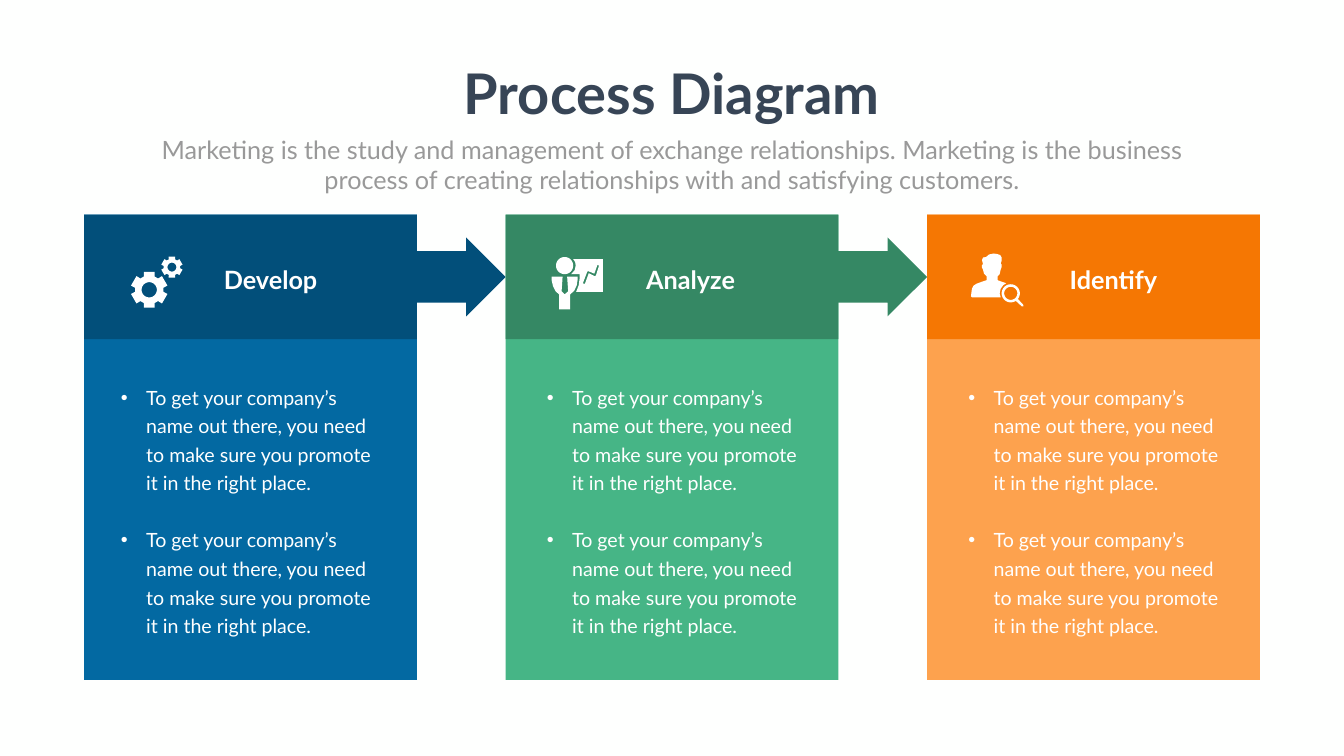
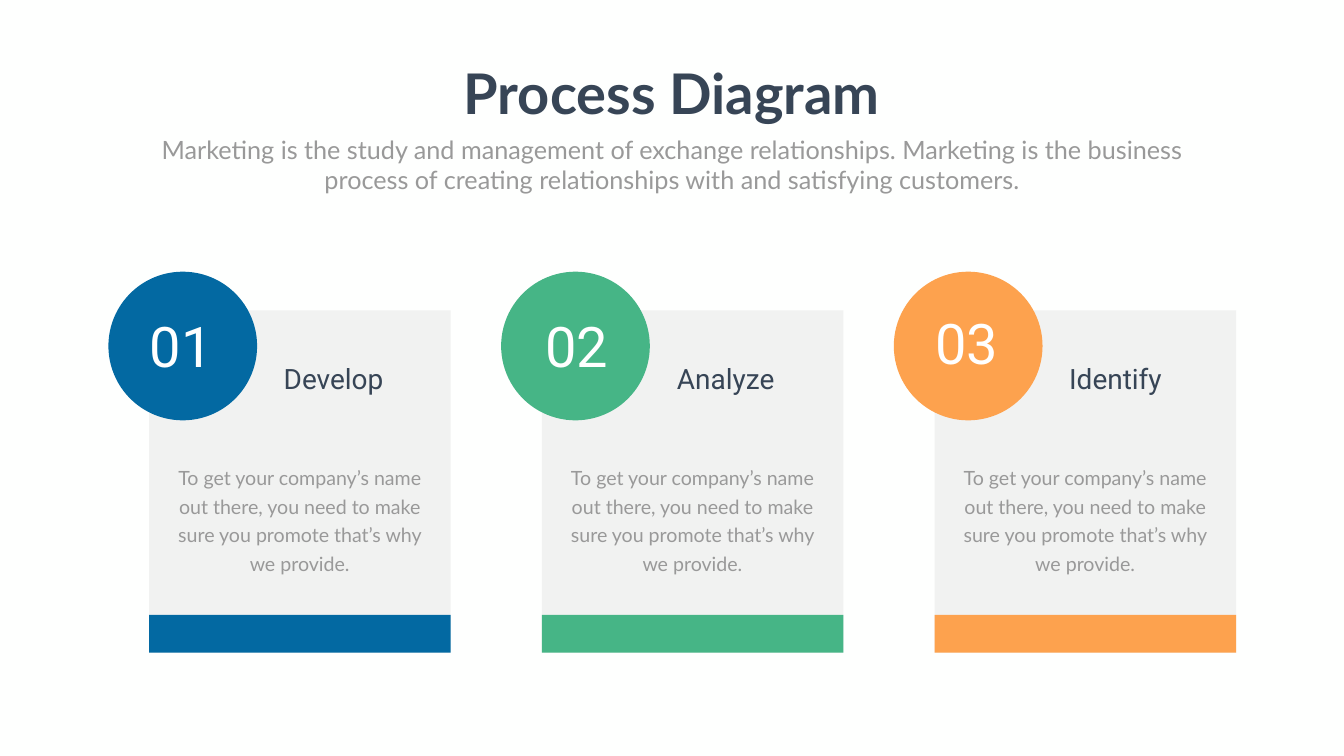
import math

import pptx
import pptx.dml.color
import pptx.enum.shapes
import pptx.enum.text
import pptx.oxml.ns
import pptx.util
from lxml import etree

RGBColor = pptx.dml.color.RGBColor
MSO_SHAPE = pptx.enum.shapes.MSO_SHAPE
PP_ALIGN = pptx.enum.text.PP_ALIGN
MSO_ANCHOR = pptx.enum.text.MSO_ANCHOR
qn = pptx.oxml.ns.qn

PX = 9144
SLIDE_SIZE = (2666, 1500)

PAPER = RGBColor(0xFE, 0xFF, 0xFE)
WHITE = RGBColor(0xFF, 0xFF, 0xFF)
SLATE = RGBColor(0x37, 0x45, 0x56)
GRAY = RGBColor(0x99, 0x99, 0x99)
CARD_GRAY = RGBColor(0x80, 0x80, 0x80)
BLUE = RGBColor(0x03, 0x69, 0xA2)
DARK_BLUE = RGBColor(0x02, 0x4F, 0x7A)
GREEN = RGBColor(0x46, 0xB5, 0x86)
DARK_GREEN = RGBColor(0x35, 0x88, 0x64)
ORANGE = RGBColor(0xFD, 0xA2, 0x4E)
DARK_ORANGE = RGBColor(0xF5, 0x77, 0x03)

TITLE = "Process Diagram"
SUBTITLE = (
    "Marketing is the study and management of exchange relationships. "
    "Marketing is the business process of creating relationships with "
    "and satisfying customers."
)
BULLETS = [
    "To get your company’s name out there, you need to make sure "
    "you promote it in the right place."
] * 2
DESCRIPTION = (
    "To get your company’s name out there, you need to make sure "
    "you promote that’s why we provide."
)
STEPS = [
    {"name": "Develop", "color": BLUE, "dark": DARK_BLUE,
     "name_left": 434, "list_left": 230,
     "number": "01", "number_box": (252, 613, 215, 145), "heading_left": 553},
    {"name": "Analyze", "color": GREEN, "dark": DARK_GREEN,
     "name_left": 1272, "list_left": 1075,
     "number": "02", "number_box": (1068, 613, 152, 145), "heading_left": 1333},
    {"name": "Identify", "color": ORANGE, "dark": DARK_ORANGE,
     "name_left": 2112, "list_left": 1911,
     "number": "03", "number_box": (1810, 607, 215, 145), "heading_left": 2111},
]

PANEL_LEFT, PANEL_PITCH = 167, 836
CARD_LEFT, CARD_PITCH = 296, 779
LINE_PITCH = 40.8


def ring_points(x, y, radius, count=48):
    return [
        (x + radius * math.cos(math.tau * i / count),
         y + radius * math.sin(math.tau * i / count))
        for i in range(count)
    ]


def gear(x, y, radius):
    profile = [(-22, 0.79), (-17, 1.03), (17, 1.03), (22, 0.79)]
    teeth = [
        (x + radius * reach * math.sin(math.radians(60 * tooth + turn)),
         y - radius * reach * math.cos(math.radians(60 * tooth + turn)))
        for tooth in range(6) for turn, reach in profile
    ]
    return [teeth, ring_points(x, y, radius * 0.42)]


PRESENTER = [(1125, 549), (1127, 578), (1120, 584), (1114, 578), (1116, 549),
             (1094, 549), (1094, 555), (1097, 568), (1102, 578), (1109, 584),
             (1109, 614), (1131, 614), (1131, 584), (1139, 577), (1144, 566),
             (1146, 553), (1146, 549)]
BOARD = [(1137, 514), (1141, 520), (1142, 527), (1140, 536), (1133, 544),
         (1150, 544), (1150, 551), (1148, 566), (1143, 579), (1196, 579),
         (1196, 514)]
TREND = [(1188, 528), (1182, 547), (1180, 548), (1168, 542), (1161, 561),
         (1159, 564), (1157, 562), (1157, 560), (1165, 539), (1167, 538),
         (1179, 543), (1185, 526), (1187, 525)]
BUST = [(1996, 562), (1987, 559), (1979, 556), (1979, 548), (1983, 544),
        (1985, 535), (1987, 530), (1987, 525), (1985, 523), (1987, 517),
        (1987, 511), (1984, 506), (1978, 504), (1971, 503), (1962, 505),
        (1956, 510), (1950, 511), (1948, 516), (1950, 524), (1948, 526),
        (1948, 531), (1950, 535), (1952, 543), (1957, 548), (1957, 556),
        (1948, 559), (1937, 563), (1931, 567), (1928, 573), (1926, 588),
        (1928, 590), (1985, 590), (1983, 582), (1985, 573), (1990, 566)]
LENS_HANDLE = [(2015, 597), (2019, 593), (2030, 605), (2030, 608), (2027, 608)]

ICONS = [
    [gear(296, 575, 36), gear(341, 530, 21)],
    [[ring_points(1120, 527, 17)], [PRESENTER], [BOARD, TREND]],
    [[BUST], [ring_points(2005, 582, 18), ring_points(2005, 582, 13), LENS_HANDLE]],
]


def place(part, box):
    part.left, part.top, part.width, part.height = [length * PX for length in box]


def paint(part, color, opacity=None):
    part.shadow.inherit = False
    part.line.fill.background()
    part.fill.solid()
    part.fill.fore_color.rgb = color
    if opacity is not None:
        rgb = part._element.spPr.find(".//" + qn("a:srgbClr"))
        etree.SubElement(rgb, qn("a:alpha"), val=str(opacity * 1000))


def add_block(slide, kind, box, color, opacity=None):
    block = slide.shapes.add_shape(kind, *[length * PX for length in box])
    paint(block, color, opacity)
    return block


def add_icon(slide, outlines):
    icon = slide.shapes.add_group_shape()
    for contours in outlines:
        builder = None
        for contour in contours:
            points = [(round(x * PX), round(y * PX)) for x, y in contour]
            if builder is None:
                builder = icon.shapes.build_freeform(*points[0], scale=1.0)
            else:
                builder.move_to(*points[0])
            builder.add_line_segments(points[1:], close=True)
        paint(builder.convert_to_shape(), WHITE)


def write(slide, text, box, holder=None, size=28, color=WHITE, font="Lato",
          bold=False, align=PP_ALIGN.LEFT, line=None, bullet=False, wrap=True):
    if holder is None:
        holder = slide.shapes.add_textbox(0, 0, 0, 0)
    else:
        slide.shapes._spTree.append(holder._element)
    place(holder, box)
    frame = holder.text_frame
    frame.word_wrap = wrap
    frame.auto_size = pptx.enum.text.MSO_AUTO_SIZE.NONE
    frame.vertical_anchor = MSO_ANCHOR.TOP
    entries = [text] if isinstance(text, str) else text
    for i, entry in enumerate(entries):
        paragraph = frame.paragraphs[0] if i == 0 else frame.add_paragraph()
        properties = paragraph._p.get_or_add_pPr()
        indent = 50 * PX if bullet else 0
        properties.set("marL", str(indent))
        properties.set("indent", str(-indent))
        if bullet:
            etree.SubElement(properties, qn("a:buFont"), typeface="Arial")
            etree.SubElement(properties, qn("a:buChar"), char="•")
        else:
            etree.SubElement(properties, qn("a:buNone"))
        paragraph.alignment = align
        paragraph.space_before = pptx.util.Pt(line if i and line else 0)
        paragraph.line_spacing = pptx.util.Pt(line) if line else 1.0
        run = paragraph.add_run()
        run.text = entry
        run.font.name = font
        run.font.size = pptx.util.Pt(size)
        run.font.bold = bold
        run.font.color.rgb = color


def start_slide(deck):
    slide = deck.slides.add_slide(deck.slide_layouts.get_by_name("Comparison"))
    title, subtitle, *details = list(slide.placeholders)
    write(slide, TITLE, (901, 112, 863, 145), title, size=80, color=SLATE,
          bold=True, align=PP_ALIGN.CENTER, wrap=False)
    write(slide, SUBTITLE, (292, 261, 2082, 131), subtitle, size=36, color=GRAY,
          align=PP_ALIGN.CENTER)
    return slide, details


def build_arrow_process(deck):
    slide, lists = start_slide(deck)
    for i, (step, holder, icon) in enumerate(zip(STEPS, lists, ICONS)):
        left = PANEL_LEFT + i * PANEL_PITCH
        add_block(slide, MSO_SHAPE.RECTANGLE, (left, 426, 660, 923), step["color"])
        add_block(slide, MSO_SHAPE.RECTANGLE, (left, 426, 660, 247), step["dark"])
        if i < len(STEPS) - 1:
            arrow = add_block(slide, MSO_SHAPE.RIGHT_ARROW,
                              (left + 566, 471, 270, 157), step["dark"])
            arrow.adjustments[0] = 0.65
            arrow.adjustments[1] = 0.5
        add_icon(slide, icon)
        write(slide, step["name"], (step["name_left"], 519, 261, 71),
              size=36, bold=True)
        write(slide, BULLETS, (step["list_left"], 750, 516, 522), holder,
              line=LINE_PITCH, bullet=True)


def build_numbered_cards(deck):
    slide, descriptions = start_slide(deck)
    for i, (step, holder) in enumerate(zip(STEPS, descriptions)):
        left = CARD_LEFT + i * CARD_PITCH
        add_block(slide, MSO_SHAPE.RECTANGLE, (left, 616, 598, 679), CARD_GRAY, 10)
        add_block(slide, MSO_SHAPE.RECTANGLE, (left, 1220, 598, 75), step["color"])
        add_block(slide, MSO_SHAPE.OVAL, (left - 81, 539, 295, 295), step["color"])
        write(slide, step["number"], step["number_box"], size=80, font="Roboto",
              align=PP_ALIGN.CENTER)
        write(slide, step["name"], (step["heading_left"], 713, 333, 77),
              size=40, font="Roboto", color=SLATE)
        write(slide, DESCRIPTION, (left + 47, 910, 503, 234), holder, color=GRAY,
              align=PP_ALIGN.CENTER, line=LINE_PITCH)


def main():
    deck = pptx.Presentation()
    deck.slide_width, deck.slide_height = [length * PX for length in SLIDE_SIZE]
    paper = deck.slide_master.background.fill
    paper.solid()
    paper.fore_color.rgb = PAPER
    build_arrow_process(deck)
    build_numbered_cards(deck)
    deck.save("out.pptx")


if __name__ == "__main__":
    main()
